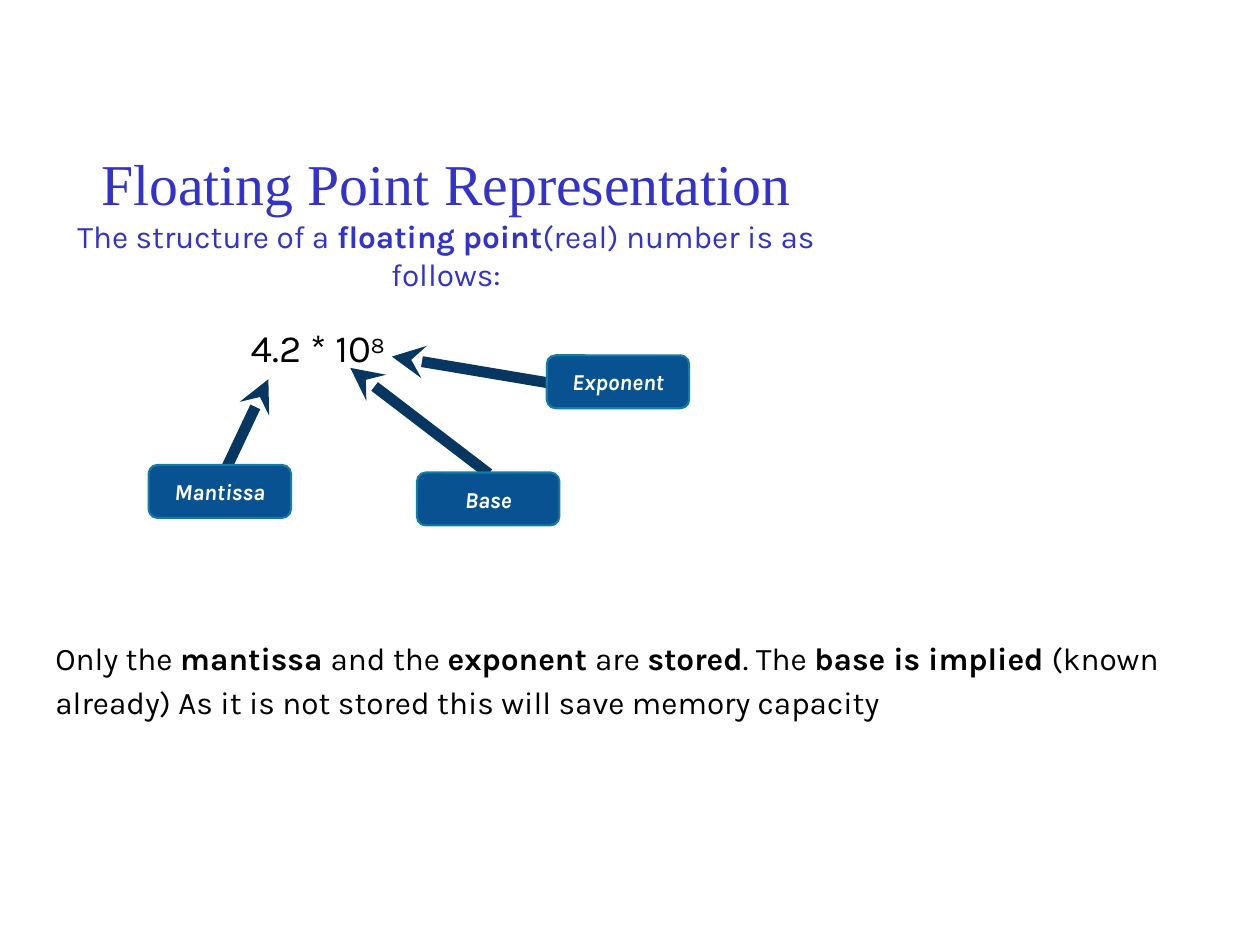
from lxml import etree
from pptx import Presentation
from pptx.dml.color import RGBColor
from pptx.enum import shapes, text
from pptx.oxml.ns import qn
from pptx.util import Inches, Pt

TITLE_BLUE = RGBColor(0x33, 0x33, 0xCC)
LABEL_FILL = RGBColor(0x09, 0x52, 0x92)
LABEL_EDGE = RGBColor(0x12, 0x7C, 0xA6)
ARROW_NAVY = RGBColor(0x07, 0x37, 0x61)
BLACK = RGBColor(0, 0, 0)
WHITE = RGBColor(0xFF, 0xFF, 0xFF)
BODY_FONT = "Karla"
LABEL_WIDTH, LABEL_HEIGHT = 1.13, 0.42


def add_span(para, wording, size, color, bold=False, italic=False, font=BODY_FONT):
    span = para.add_run()
    span.text = wording
    span.font.name = font
    span.font.size = Pt(size)
    span.font.bold = bold
    span.font.italic = italic
    span.font.color.rgb = color
    return span


def prepare_frame(box, left=0, top=0, anchor=text.MSO_ANCHOR.TOP):
    """Set margins, wrapping and anchor, and return the first paragraph."""
    frame = box.text_frame
    frame.word_wrap = True
    frame.auto_size = text.MSO_AUTO_SIZE.NONE
    frame.vertical_anchor = anchor
    frame.margin_left, frame.margin_top = Inches(left), Inches(top)
    frame.margin_right = frame.margin_bottom = 0
    return frame.paragraphs[0]


def add_title(page, left, top, width, height):
    title = page.shapes.title
    title.left, title.top = Inches(left), Inches(top)
    title.width, title.height = Inches(width), Inches(height)
    para = prepare_frame(title, 0.01, 0.1, text.MSO_ANCHOR.MIDDLE)
    para.alignment = text.PP_ALIGN.CENTER
    add_span(para, "Floating Point Representation", 33, TITLE_BLUE, font="Times New Roman")
    para.add_line_break()
    add_span(para, "The structure of a ", 18, TITLE_BLUE)
    add_span(para, "floating point", 18, TITLE_BLUE, bold=True)
    add_span(para, "(real) number is as follows:", 18, TITLE_BLUE)


def add_arrow(page, start, tip):
    ends = [Inches(value) for value in (*start, *tip)]
    arrow = page.shapes.add_connector(shapes.MSO_CONNECTOR.STRAIGHT, *ends)
    arrow.line.color.rgb = ARROW_NAVY
    arrow.line.width = Pt(6.25)
    etree.SubElement(arrow.line._get_or_add_ln(), qn("a:tailEnd"), type="stealth")
    etree.SubElement(arrow._element.spPr, qn("a:effectLst"))


def add_label(page, wording, left, top):
    label = page.shapes.add_shape(
        shapes.MSO_SHAPE.ROUNDED_RECTANGLE,
        Inches(left), Inches(top), Inches(LABEL_WIDTH), Inches(LABEL_HEIGHT))
    label.shadow.inherit = False
    label.fill.solid()
    label.fill.fore_color.rgb = LABEL_FILL
    label.line.color.rgb = LABEL_EDGE
    label.line.width = Pt(1.2)
    para = prepare_frame(label, anchor=text.MSO_ANCHOR.MIDDLE)
    para.alignment = text.PP_ALIGN.CENTER
    add_span(para, wording, 13, WHITE, bold=True, italic=True)


def add_diagram(page, left, top):
    """Place the number and the labels that point at its parts."""
    number = page.shapes.add_textbox(
        Inches(left + 0.78), Inches(top), Inches(1.25), Inches(0.45))
    para = prepare_frame(number, 0.03, 0.02)
    add_span(para, "4.2 * 10", 22, BLACK)
    power = add_span(para, "8", 22, BLACK)
    power._r.get_or_add_rPr().set("baseline", "22000")

    # Wording, label corner, arrow start and arrow tip, from the diagram's corner
    callouts = [
        ("Exponent", (3.16, 0.27), (3.18, 0.49), (1.93, 0.28)),
        ("Mantissa", (0, 1.14), (0.6, 1.2), (0.95, 0.46)),
        ("Base", (2.13, 1.2), (2.7, 1.21), (1.6, 0.37)),
    ]
    for wording, corner, start, tip in callouts:
        (x, y), start, tip = [
            (left + across, top + down) for across, down in (corner, start, tip)]
        add_arrow(page, start, tip)
        add_label(page, wording, x, y)


def add_explanation(page, left, top, width, height):
    box = page.shapes.add_textbox(
        Inches(left), Inches(top), Inches(width), Inches(height))
    para = prepare_frame(box, 0.01, 0.02)
    para.line_spacing = 1.15
    for wording, bold in [
        ("Only the ", False), ("mantissa ", True), ("and the ", False),
        ("exponent ", True), ("are ", False), ("stored", True),
        (". The ", False), ("base is implied ", True),
        ("(known already) As it is not stored this will save memory capacity", False),
    ]:
        add_span(para, wording, 18, BLACK, bold)


def main():
    deck = Presentation()
    deck.slide_width, deck.slide_height = Inches(10), Inches(7.5)
    page = deck.slides.add_slide(deck.slide_layouts[5])
    add_title(page, 0.43, 1.07, 6.21, 1.25)
    add_diagram(page, 1.18, 2.55)
    add_explanation(page, 0.43, 5.01, 8.99, 0.7)
    deck.save("out.pptx")


if __name__ == "__main__":
    main()
